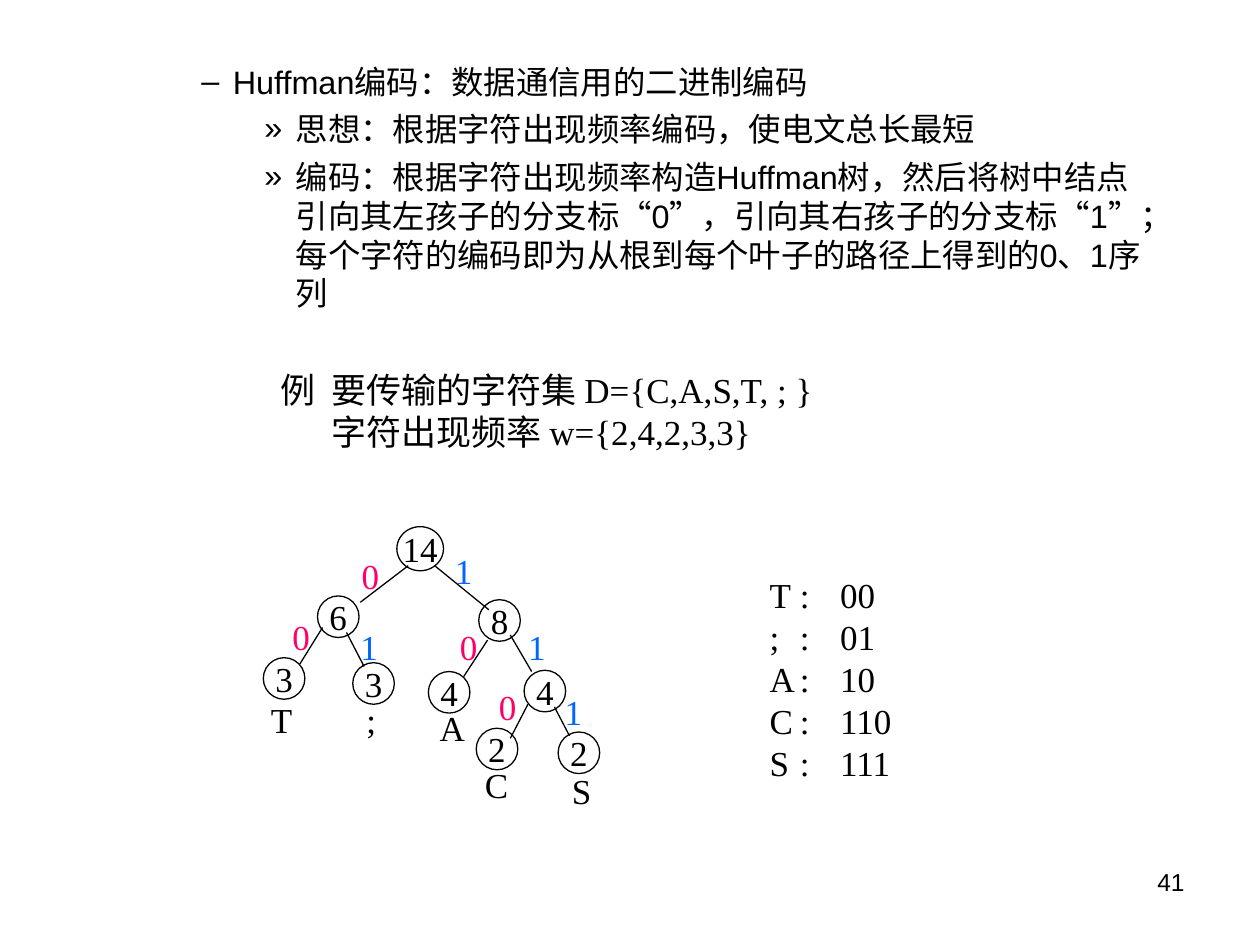
from lxml.etree import SubElement
from pptx import Presentation
from pptx.dml.color import RGBColor
from pptx.enum.shapes import MSO_CONNECTOR, MSO_SHAPE
from pptx.enum.text import MSO_ANCHOR, PP_ALIGN
from pptx.oxml.ns import qn
from pptx.util import Pt

PX = 9144
BLACK = RGBColor(0x00, 0x00, 0x00)
PINK = RGBColor(0xFF, 0x00, 0x66)
BLUE = RGBColor(0x00, 0x66, 0xFF)
SANS = "Arial"
SERIF = "Times New Roman"
NODE = 33

BULLETS = [
    (3, "–", 175, "Huffman编码：数据通信用的二进制编码"),
    (4, "»", 225, "思想：根据字符出现频率编码，使电文总长最短"),
    (4, "»", 225, "编码：根据字符出现频率构造Huffman树，然后将树中结点"
                  "引向其左孩子的分支标“0”，引向其右孩子的分支标“1”；"
                  "每个字符的编码即为从根到每个叶子的路径上得到的0、1序列"),
]
NODES = [
    ("3", 280, 526), ("3", 209, 522), ("6", 252, 473), ("4", 340, 533),
    ("2", 378, 578), ("2", 443, 581), ("4", 416, 532), ("8", 380, 476),
]
EDGES = [
    (256, 498, 238, 527), (275, 502, 289, 529), (419, 559, 405, 586),
    (440, 561, 452, 584), (387, 508, 368, 537), (405, 504, 422, 533),
    (324, 449, 286, 478), (345, 449, 388, 484),
]
LEAVES = [
    ("C", 375, 601, 38), ("S", 444, 605, 35), ("T", 205, 549, 37),
    (";", 281, 549, 27), ("A", 339, 555, 40),
]
ZEROS = [(277, 435), (222, 483), (355, 491), (386, 539)]
ONES = [(351, 431), (276, 491), (409, 491), (438, 543)]
CODES = [("T", "00"), (";", "01"), ("A", "10"), ("C", "110"), ("S", "111")]


def px(*values):
    return [v * PX for v in values]


def write(tf, lines, size=20, font=SERIF, color=BLACK, align=PP_ALIGN.LEFT):
    tf.text = "\n".join(lines)
    for p in tf.paragraphs:
        p.alignment = align
        for r in p.runs:
            r.font.size = Pt(size)
            r.font.name = font
            r.font.color.rgb = color


def indent(p, left, first):
    pPr = p._p.get_or_add_pPr()
    pPr.set("marL", str(left * PX))
    pPr.set("indent", str(first * PX))
    return pPr


def add_tabs(p, *stops):
    tabs = SubElement(p._p.get_or_add_pPr(), qn("a:tabLst"))
    for stop in stops:
        SubElement(tabs, qn("a:tab"), pos=str(stop * PX), algn="l")


def add_text(s, lines, box, anchor=MSO_ANCHOR.MIDDLE, wrap=True, **style):
    tf = s.shapes.add_textbox(*px(*box)).text_frame
    tf.word_wrap = wrap
    tf.vertical_anchor = anchor
    write(tf, lines, **style)
    return tf


def add_label(s, text, left, top, width=34, color=BLACK):
    add_text(s, [text], (left, top, width, 44), wrap=False,
             color=color, align=PP_ALIGN.CENTER)


def add_node(s, text, left, top, width=NODE, height=NODE):
    sp = s.shapes.add_shape(MSO_SHAPE.OVAL, *px(left, top, width, height))
    sp.shadow.inherit = False
    sp.fill.background()
    sp.line.color.rgb = BLACK
    sp.line.width = Pt(0.75)
    tf = sp.text_frame
    tf.word_wrap = False
    tf.vertical_anchor = MSO_ANCHOR.MIDDLE
    write(tf, [text], align=PP_ALIGN.CENTER)


def add_edge(s, ends):
    line = s.shapes.add_connector(MSO_CONNECTOR.STRAIGHT, *px(*ends))
    line.line.color.rgb = BLACK
    line.line.width = Pt(0.75)
    SubElement(line._element.spPr, qn("a:effectLst"))


def add_bullets(s):
    tf = add_text(s, [text for *_, text in BULLETS], (0, 44, 930, 214),
                  anchor=MSO_ANCHOR.TOP, size=18.5, font=SANS)
    for p, (level, mark, left, _) in zip(tf.paragraphs, BULLETS):
        p.level = level
        p.space_before = Pt(5)
        pPr = indent(p, left, -25)
        clr = SubElement(pPr, qn("a:buClr"))
        SubElement(clr, qn("a:srgbClr"), val=str(BLACK))
        SubElement(pPr, qn("a:buFont"), typeface=SANS)
        SubElement(pPr, qn("a:buChar"), char=mark)


def add_example(s):
    tf = add_text(s, ["例\t要传输的字符集 D={C,A,S,T, ; }",
                      "字符出现频率 w={2,4,2,3,3}"], (213, 287, 460, 77))
    for p, first in zip(tf.paragraphs, (-40, 0)):
        indent(p, 40, first)


def add_tree(s):
    for leaf in LEAVES:
        add_label(s, *leaf)
    for node in NODES:
        add_node(s, *node)
    add_node(s, "14", 315, 418, 37, 35)
    for ends in EDGES:
        add_edge(s, ends)
    for bit, color, places in (("0", PINK, ZEROS), ("1", BLUE, ONES)):
        for left, top in places:
            add_label(s, bit, left, top, color=color)


def add_codes(s):
    lines = [f"{symbol}\t:\t{code}" for symbol, code in CODES]
    tf = add_text(s, lines, (601, 450, 150, 177))
    for p in tf.paragraphs:
        add_tabs(p, 24, 56)


def main():
    prs = Presentation()
    prs.slide_width, prs.slide_height = px(1000, 750)
    s = prs.slides.add_slide(prs.slide_layouts[6])
    add_bullets(s)
    add_example(s)
    add_tree(s)
    add_codes(s)
    add_text(s, ["41"], (717, 683, 233, 52), anchor=MSO_ANCHOR.TOP,
             size=14, font=SANS, align=PP_ALIGN.RIGHT)
    prs.save("out.pptx")


if __name__ == "__main__":
    main()
